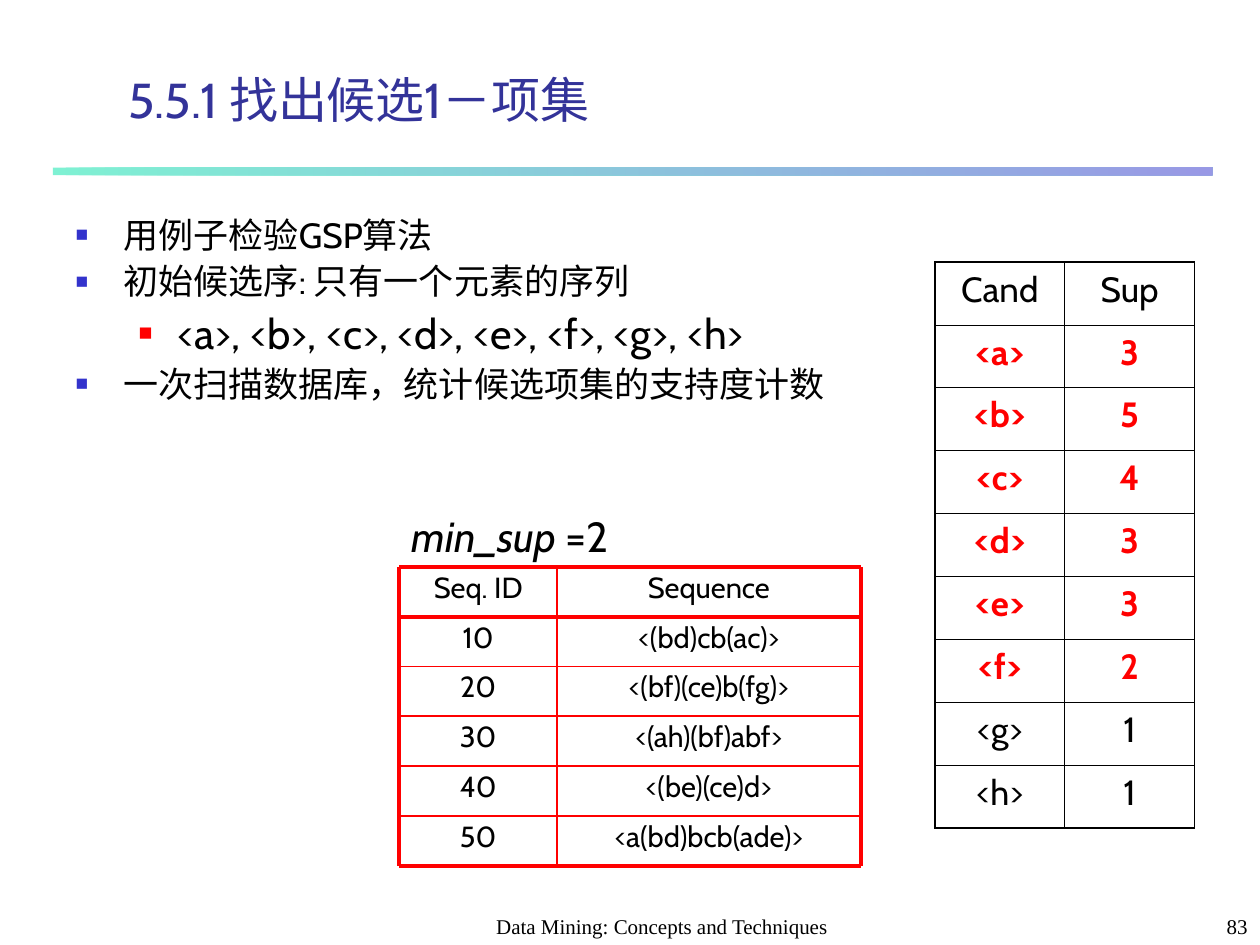
from lxml.etree import SubElement
from pptx import Presentation
from pptx.dml.color import RGBColor
from pptx.enum.shapes import MSO_CONNECTOR, MSO_SHAPE
from pptx.enum.text import MSO_ANCHOR, MSO_AUTO_SIZE, PP_ALIGN
from pptx.oxml.ns import qn
from pptx.util import Inches, Pt

COLORS = {"title": "333399", "bullet": "3333CC", "red": "FF0000",
          "black": "000000", "mint": "00E4A8"}


def write(paragraph, text, color="black", paragraph_format=None, **font_format):
    run = paragraph.add_run()
    run.text = text
    run.font.color.rgb = RGBColor.from_string(COLORS[color])
    for key, value in ({"name": "Cabin"} | font_format).items():
        setattr(run.font, key, value)
    for key, value in (paragraph_format or {}).items():
        setattr(paragraph, key, value)


prs = Presentation()
prs.slide_width, prs.slide_height = Inches(10), Inches(7.5)
slide = prs.slides.add_slide(prs.slide_layouts[1])

rule = slide.shapes.add_shape(MSO_SHAPE.RECTANGLE, Inches(0.42), Inches(1.33),
                              Inches(9.2), Inches(0.06))
rule.shadow.inherit = False
rule.line.fill.background()
rule.fill.gradient()
rule.fill.gradient_angle = 0
for stop, color, position in zip(rule.fill.gradient_stops, ("mint", "bullet"), (0, 1)):
    stop.color.rgb = RGBColor.from_string(COLORS[color])
    stop.position = position
for stop_color in rule._element.spPr.iter(qn("a:srgbClr")):
    SubElement(stop_color, qn("a:alpha"), val="50000")

title, body = slide.placeholders
for part, box, anchor in (
    (title, (0.92, 0.58, 8.52, 0.49), MSO_ANCHOR.BOTTOM),
    (body, (0.5, 1.68, 6.66, 3.23), MSO_ANCHOR.TOP),
):
    part.left, part.top, part.width, part.height = map(Inches, box)
    part.text_frame.auto_size = MSO_AUTO_SIZE.NONE
    part.text_frame.vertical_anchor = anchor
write(title.text_frame.paragraphs[0], "5.5.1 找出候选1－项集", "title",
      {"alignment": PP_ALIGN.LEFT}, size=Pt(28))

LEVELS = [
    {"margin": 0.38, "hang": -0.38, "color": "bullet", "percent": 60, "size": 20, "before": 5},
    {"margin": 0.81, "hang": -0.31, "color": "red", "percent": 55, "size": 24, "before": 6},
]
points = [
    (0, "用例子检验GSP算法"),
    (0, "初始候选序: 只有一个元素的序列"),
    (1, "<a>, <b>, <c>, <d>, <e>, <f>, <g>, <h>"),
    (0, "一次扫描数据库，统计候选项集的支持度计数"),
]
for index, (level, text) in enumerate(points):
    look = LEVELS[level]
    frame = body.text_frame
    point = frame.add_paragraph() if index else frame.paragraphs[0]
    props = point._p.get_or_add_pPr()
    props.set("marL", str(Inches(look["margin"])))
    props.set("indent", str(Inches(look["hang"])))
    bullet_color = SubElement(props, qn("a:buClr"))
    SubElement(bullet_color, qn("a:srgbClr"), val=COLORS[look["color"]])
    SubElement(props, qn("a:buSzPct"), val=str(look["percent"] * 1000))
    SubElement(props, qn("a:buChar"), char="■")
    write(point, text, "black",
          {"level": level, "line_spacing": 0.9,
           "space_before": Pt(look["before"] if index else 0)},
          size=Pt(look["size"]))

sequences = [
    ("Seq. ID", "Sequence"),
    ("10", "<(bd)cb(ac)>"),
    ("20", "<(bf)(ce)b(fg)>"),
    ("30", "<(ah)(bf)abf>"),
    ("40", "<(be)(ce)d>"),
    ("50", "<a(bd)bcb(ade)>"),
]
row_height = Inches(2.37) // len(sequences)
row_edges = [Inches(4.5) + row_height * r for r in range(len(sequences) + 1)]
column_edges = [Inches(x) for x in (3.17, 4.42, 6.83)]
sequence_grid = slide.shapes.add_group_shape().shapes
for top, values in zip(row_edges, sequences):
    for left, right, value in zip(column_edges, column_edges[1:], values):
        cell = sequence_grid.add_shape(MSO_SHAPE.RECTANGLE, left, top, right - left, row_height)
        cell.shadow.inherit = False
        cell.fill.background()
        cell.line.color.rgb = RGBColor.from_string(COLORS["red"])
        cell.line.width = Pt(0.75)
        cell.text_frame.word_wrap = True
        cell.text_frame.vertical_anchor = MSO_ANCHOR.TOP
        write(cell.text_frame.paragraphs[0], value, "black",
              {"alignment": PP_ALIGN.CENTER, "line_spacing": 0.9}, size=Pt(16.6))

left, middle, right = column_edges
top, header_bottom, *_, bottom = row_edges
grid_lines = [(left, y, right, y, y in (top, header_bottom, bottom)) for y in row_edges]
grid_lines += [(x, top, x, bottom, x != middle) for x in column_edges]
for *ends, heavy in grid_lines:
    grid_line = sequence_grid.add_connector(MSO_CONNECTOR.STRAIGHT, *ends)
    grid_line.line.color.rgb = RGBColor.from_string(COLORS["red"])
    grid_line.line.width = Pt(2.25 if heavy else 1)
    SubElement(grid_line._element.spPr, qn("a:effectLst"))

supports = [("Cand", "Sup")] + [(f"<{item}>", count) for item, count in zip("abcdefgh", "35433211")]
support_table = slide.shapes.add_table(len(supports), 2, Inches(7.42), Inches(2.08),
                                       Inches(2.06), Inches(4.49)).table
support_table.first_row = support_table.horz_banding = False
for r, values in enumerate(supports):
    frequent = values[1].isdigit() and int(values[1]) >= 2
    for c, value in enumerate(values):
        cell = support_table.cell(r, c)
        write(cell.text_frame.paragraphs[0], value, "red" if frequent else "black",
              {"alignment": PP_ALIGN.CENTER}, size=Pt(20), bold=frequent)
        on_outside = {"lnL": c == 0, "lnR": c == 1, "lnT": r == 0, "lnB": r == len(supports) - 1}
        for side, outside in on_outside.items():
            border = SubElement(cell._tc.get_or_add_tcPr(), qn(f"a:{side}"),
                                w=str(Pt(1.08 if outside else 0.45)))
            border_fill = SubElement(border, qn("a:solidFill"))
            SubElement(border_fill, qn("a:srgbClr"), val=COLORS["black"])
        cell.fill.background()

footer_font = {"name": "Times New Roman", "size": Pt(12)}
labels = [
    ((3.17, 4, 2, 0.5), MSO_ANCHOR.TOP, PP_ALIGN.LEFT,
     [("min_sup ", {"size": Pt(24), "italic": True}), ("=2", {"size": Pt(24)})]),
    ((3.67, 7.08, 3.17, 0.42), MSO_ANCHOR.BOTTOM, PP_ALIGN.CENTER,
     [("Data Mining: Concepts and Techniques", footer_font)]),
    ((7.92, 7.08, 2.08, 0.42), MSO_ANCHOR.BOTTOM, PP_ALIGN.RIGHT, [("83", footer_font)]),
]
for box, anchor, alignment, pieces in labels:
    frame = slide.shapes.add_textbox(*map(Inches, box)).text_frame
    frame.word_wrap = True
    frame.vertical_anchor = anchor
    for text, font_format in pieces:
        write(frame.paragraphs[0], text, "black", {"alignment": alignment}, **font_format)

prs.save("out.pptx")
